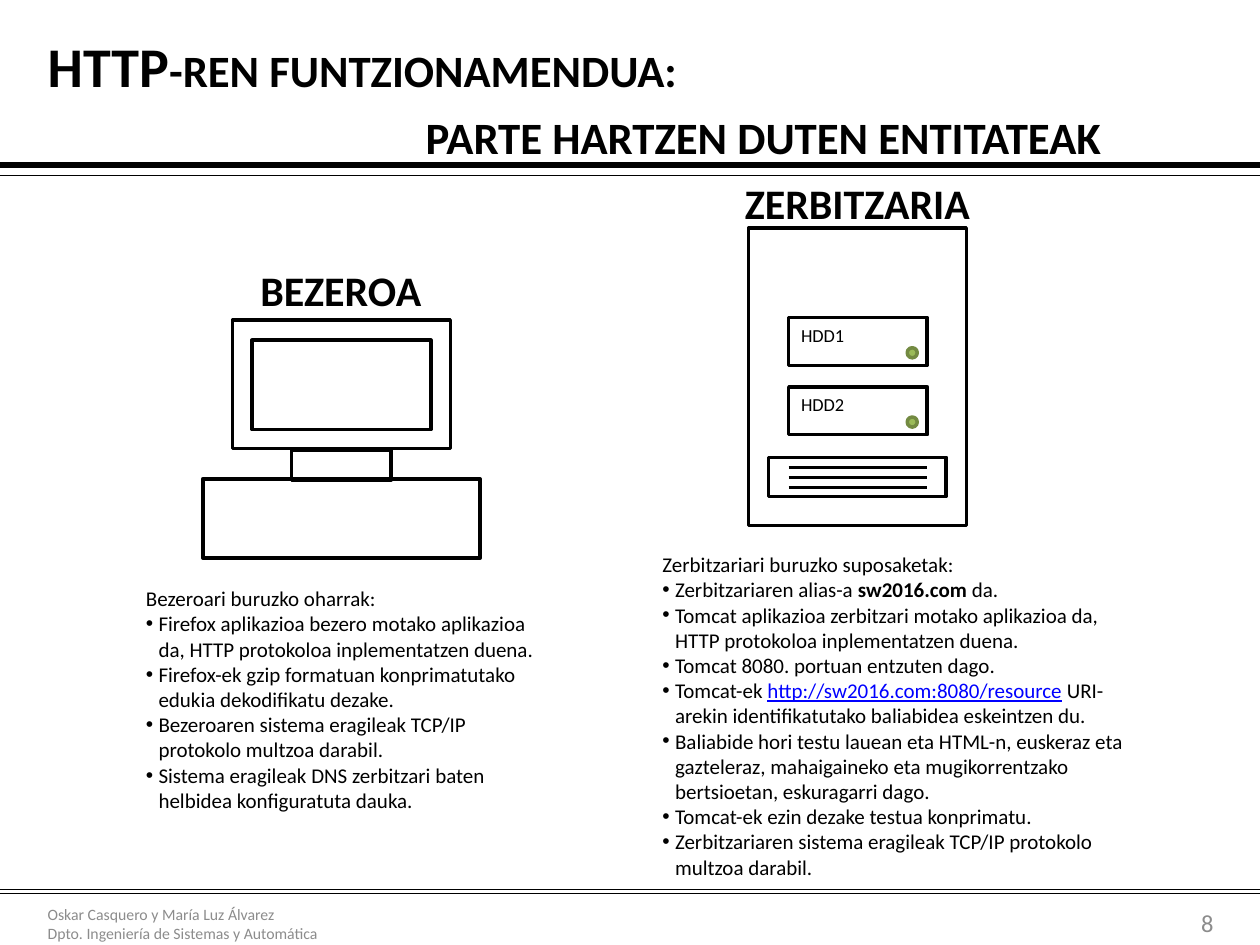
from lxml import etree
from pptx import Presentation
from pptx import util as u
from pptx.dml.color import RGBColor
from pptx.enum import shapes, text
from pptx.oxml.ns import qn

BLACK, GRAY, GREEN, DARK_GREEN, BLUE = "000000", "8C8C8C", "9BBB59", "738A42", "0000FF"

CLIENT_NOTES = [
    ["Bezeroari buruzko oharrak:"],
    ["Firefox aplikazioa bezero motako aplikazioa da, HTTP protokoloa inplementatzen duena."],
    ["Firefox-ek gzip formatuan konprimatutako edukia dekodifikatu dezake."],
    ["Bezeroaren sistema eragileak TCP/IP protokolo multzoa darabil."],
    ["Sistema eragileak DNS zerbitzari baten helbidea konfiguratuta dauka."],
]
SERVER_NOTES = [
    ["Zerbitzariari buruzko suposaketak:"],
    ["Zerbitzariaren alias-a ", ("sw2016.com", {"bold": True}), " da."],
    ["Tomcat aplikazioa zerbitzari motako aplikazioa da, HTTP protokoloa inplementatzen duena."],
    ["Tomcat 8080. portuan entzuten dago."],
    ["Tomcat-ek ", ("http://sw2016.com:8080/resource", {"underline": True, "color": BLUE}),
     " URI-arekin identifikatutako baliabidea eskeintzen du."],
    ["Baliabide hori testu lauean eta HTML-n, euskeraz eta gazteleraz, mahaigaineko eta "
     "mugikorrentzako bertsioetan, eskuragarri dago."],
    ["Tomcat-ek ezin dezake testua konprimatu."],
    ["Zerbitzariaren sistema eragileak TCP/IP protokolo multzoa darabil."],
]


def set_color(color_format, value):
    """Apply a hex colour to a colour format."""
    color_format.rgb = RGBColor.from_string(value)


def set_font(font, formats):
    """Set font attributes, with colour as a hex string."""
    for name, value in formats.items():
        if name == "color":
            set_color(font.color, value)
        else:
            setattr(font, name, value)


def add_box(slide, left, top, width, height, kind="RECTANGLE", fill=None, line=BLACK):
    """Draw an outlined preset shape."""
    shape = slide.shapes.add_shape(getattr(shapes.MSO_SHAPE, kind), *map(u.Inches, (left, top, width, height)))
    shape.shadow.inherit = False
    if fill:
        shape.fill.solid()
        set_color(shape.fill.fore_color, fill)
    else:
        shape.fill.background()
    set_color(shape.line.color, line)
    shape.line.width = u.Pt(2)


def add_rule(slide, left, top, width, weight):
    """Draw a horizontal black line."""
    right = left + width
    rule = slide.shapes.add_connector(shapes.MSO_CONNECTOR.STRAIGHT, *map(u.Inches, (left, top, right, top)))
    etree.SubElement(rule._element.spPr, qn("a:effectLst"))
    set_color(rule.line.color, BLACK)
    rule.line.width = u.Pt(weight)


def add_text(slide, box, paragraphs, size, color=BLACK, bold=False, align="LEFT", anchor="TOP", wrap=True):
    """Place paragraphs, each a list of strings or (string, formats) pairs."""
    frame = slide.shapes.add_textbox(*map(u.Inches, box)).text_frame
    frame.word_wrap = wrap
    frame.vertical_anchor = getattr(text.MSO_ANCHOR, anchor)
    base = {"name": "Calibri", "size": u.Pt(size), "bold": bold, "color": color}
    for index, parts in enumerate(paragraphs):
        paragraph = frame.add_paragraph() if index else frame.paragraphs[0]
        paragraph.alignment = getattr(text.PP_ALIGN, align)
        for part in parts:
            words, formats = (part, {}) if isinstance(part, str) else part
            run = paragraph.add_run()
            run.text = words
            set_font(run.font, {**base, **formats})
    return frame


def add_notes(slide, box, paragraphs):
    """Place a heading line followed by bulleted notes."""
    frame = add_text(slide, box, paragraphs, 12)
    for paragraph in frame.paragraphs[1:]:
        properties = paragraph._p.get_or_add_pPr()
        properties.set("marL", str(u.Inches(0.1)))
        properties.set("indent", str(u.Inches(-0.1)))
        etree.SubElement(properties, qn("a:buFont"), typeface="Arial")
        etree.SubElement(properties, qn("a:buChar"), char="•")


def add_header(slide, left, top, width, height):
    """Place the small-caps title and its double rule."""
    lines = [["HTTP-ren funtzionamendua:"], ["parte hartzen duten entitateak"]]
    frame = add_text(slide, (left, top, width, height), lines, 32, bold=True, anchor="MIDDLE")
    frame.paragraphs[1]._p.get_or_add_pPr().set("marL", str(u.Inches(3)))
    for paragraph in frame.paragraphs:
        for run in paragraph.runs:
            run._r.get_or_add_rPr().set("cap", "small")
    for gap, weight in ((0.04, 3), (0.12, 0.25)):
        add_rule(slide, 0, top + height + gap, 10, weight)


def add_footer(slide, left, top, width):
    """Place the double rule, credits and slide number."""
    for offset in (0, 0.03):
        add_rule(slide, 0, top + offset, 10, 0.25)
    credits = [["Oskar Casquero y María Luz Álvarez"], ["Dpto. Ingeniería de Sistemas y Automática"]]
    add_text(slide, (left, top + 0.07, 3.7, 0.4), credits, 9, GRAY, anchor="MIDDLE")
    add_text(slide, (left + width - 0.79, top + 0.12, 0.79, 0.28), [["8"]], 14, GRAY,
             align="RIGHT", anchor="MIDDLE")


def add_client(slide, left, top, width):
    """Draw the labelled client computer, centred in its width."""
    center = left + width / 2
    add_text(slide, (center - 0.79, top, 1.57, 0.5), [["BEZEROA"]], 24, bold=True, align="CENTER", wrap=False)
    for part_width, offset, height in ((1.73, 0.49, 1.02), (1.42, 0.65, 0.71), (2.2, 1.75, 0.63), (0.79, 1.52, 0.24)):
        add_box(slide, center - part_width / 2, top + offset, part_width, height)


def add_disk(slide, left, top, width, height, name):
    """Draw a named disk with its status light."""
    add_box(slide, left, top, width, height)
    add_box(slide, left + width - 0.16, top + 0.24, 0.08, 0.08, "OVAL", GREEN, DARK_GREEN)
    add_text(slide, (left, top, 0.55, 0.28), [[name]], 10.5, wrap=False)


def add_server(slide, left, top, width, height):
    """Draw the labelled server tower with disks and vent."""
    add_text(slide, (left - 0.16, top - 0.45, width + 0.32, 0.5), [["ZERBITZARIA"]], 24, bold=True,
             align="CENTER", wrap=False)
    add_box(slide, left, top, width, height)
    add_box(slide, left + 0.16, top + 1.82, width - 0.32, 0.31)
    inner_left, inner_width = left + 0.32, 1.1
    for row in range(3):
        add_rule(slide, inner_left, top + 1.9 + 0.08 * row, inner_width, 2)
    for row, name in enumerate(("HDD1", "HDD2")):
        add_disk(slide, inner_left, top + 0.71 + 0.55 * row, inner_width, 0.38, name)


def main():
    """Build and save the slide."""
    presentation = Presentation()
    presentation.slide_width, presentation.slide_height = u.Inches(10), u.Inches(7.5)
    slide = presentation.slides.add_slide(presentation.slide_layouts[6])
    add_header(slide, 0.28, 0.29, 9.45, 0.98)
    add_client(slide, 1.61, 2.05, 2.2)
    add_notes(slide, (1.06, 4.6, 3.31, 1.92), CLIENT_NOTES)
    add_server(slide, 5.94, 1.81, 1.73, 2.36)
    add_notes(slide, (5.16, 4.33, 3.86, 2.73), SERVER_NOTES)
    add_footer(slide, 0.28, 7.06, 9.45)
    presentation.save("out.pptx")


if __name__ == "__main__":
    main()
